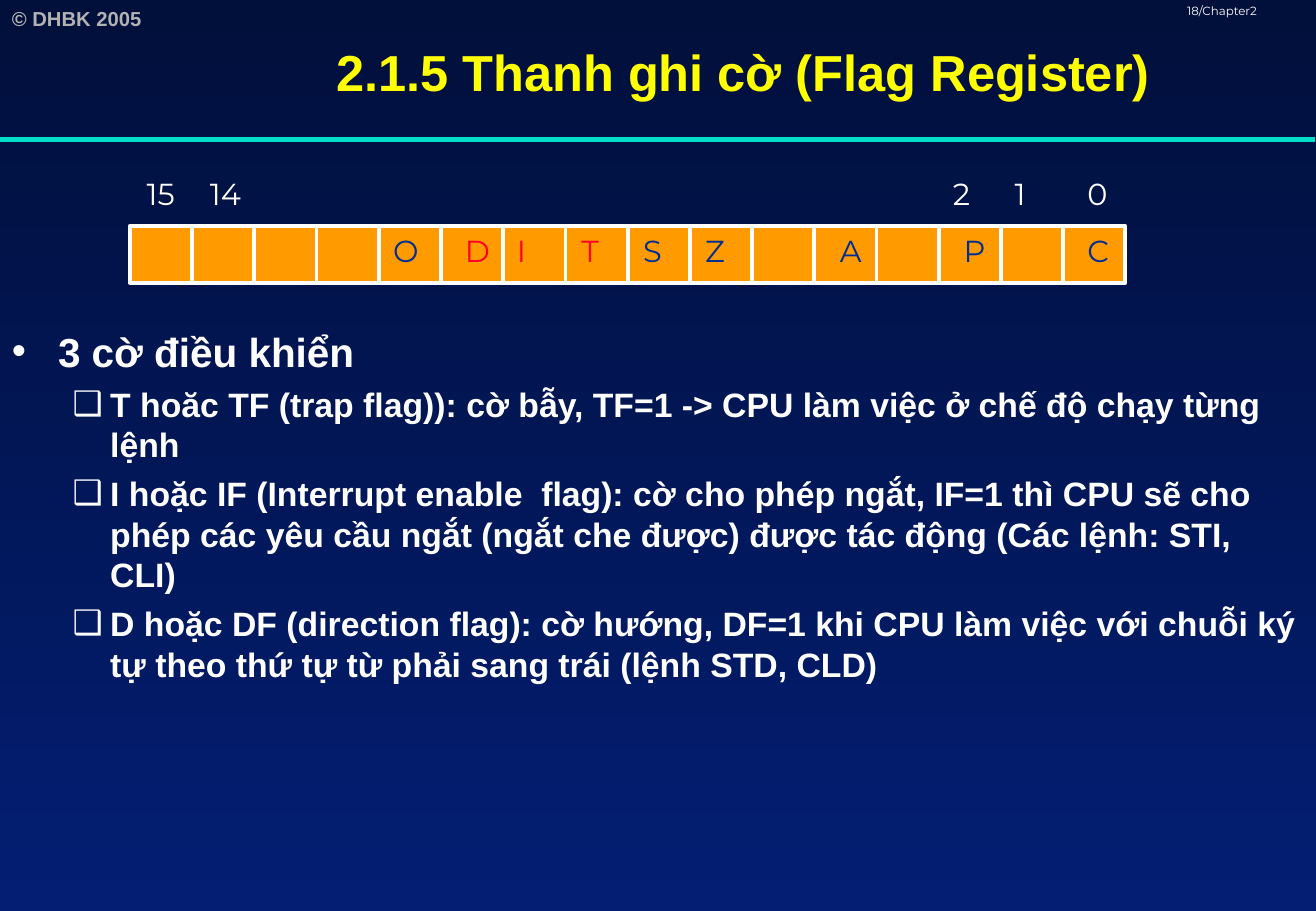
import pptx
import pptx.util
import pptx.dml.color
import pptx.enum.shapes
import pptx.enum.text
import pptx.oxml
import pptx.oxml.ns
from lxml import etree

Inches, Pt = pptx.util.Inches, pptx.util.Pt
ALIGN = pptx.enum.text.PP_ALIGN
ANCHOR = pptx.enum.text.MSO_ANCHOR

COLORS = {
    "top": "010F3B", "bottom": "031E73", "rule": "00DFCA", "white": "FFFFFF",
    "title": "FFFF00", "grey": "B2B2B2", "cell": "FF9B00",
    "status": "012E91", "control": "FF0028",
}
COPYRIGHT = "© DHBK 2005"
PAGE = "18/Chapter2"
TITLE = "2.1.5 Thanh ghi cờ (Flag Register)"
HEADING = "3 cờ điều khiển"
CONTROL_FLAGS = [
    "T hoăc TF (trap flag)): cờ bẫy, TF=1 -> CPU làm việc ở chế độ chạy từng lệnh",
    "I hoặc IF (Interrupt enable  flag): cờ cho phép ngắt, IF=1 thì CPU sẽ cho phép "
    "các yêu cầu ngắt (ngắt che được) được tác động (Các lệnh: STI, CLI)",
    "D hoặc DF (direction flag): cờ hướng, DF=1 khi CPU làm việc với chuỗi ký tự "
    "theo thứ tự từ phải sang trái (lệnh STD, CLD)",
]
# (text, left, width)
BIT_NUMBERS = [("15", 1.11, 0.48), ("14", 1.63, 0.48), ("2", 7.75, 0.34),
               ("1", 8.26, 0.34), ("0", 8.86, 0.34)]
STATUS_LETTERS = [("O", 3.14, 0.39), ("S", 5.2, 0.34), ("Z", 5.71, 0.34),
                  ("A", 6.82, 0.36), ("P", 7.84, 0.35), ("C", 8.86, 0.36)]
CONTROL_LETTERS = [("D", 3.73, 0.38), ("I", 4.16, 0.28), ("T", 4.69, 0.34)]
# (labels, top, colour)
LABEL_ROWS = [(BIT_NUMBERS, 1.39, "white"), (STATUS_LETTERS, 1.86, "status"),
              (CONTROL_LETTERS, 1.86, "control")]

# Register: four groups of four bits
REG_LEFT, REG_TOP, REG_HEIGHT = 1.07, 1.86, 0.47
GROUPS, BITS, GROUP_WIDTH = 4, 4, 2.05

# bullet, left margin, hanging indent, space before, size
HEADING_STYLE = ("•", 0.38, 0.38, 0, 24)
FLAG_STYLE = ("❑", 0.81, 0.31, 5, 20)


def color(name):
    return pptx.dml.color.RGBColor.from_string(COLORS[name])


def set_font(font, **values):
    for name, value in values.items():
        if name == "color":
            font.color.rgb = color(value)
        else:
            setattr(font, name, value)


def add_box(s, left, top, width, height, wrap=True, anchor=ANCHOR.TOP):
    tf = s.shapes.add_textbox(*map(Inches, (left, top, width, height))).text_frame
    tf.word_wrap, tf.vertical_anchor = wrap, anchor
    return tf


def add_text(tf, text, align=ALIGN.LEFT, spacing=None, **font):
    p = tf.paragraphs[0]
    p.alignment, p.line_spacing = align, spacing
    r = p.add_run()
    r.text = text
    set_font(r.font, **font)


def add_line(s, x1, y1, x2, y2, name, weight):
    line = s.shapes.add_connector(pptx.enum.shapes.MSO_CONNECTOR.STRAIGHT,
                                  *map(Inches, (x1, y1, x2, y2)))
    line.line.color.rgb = color(name)
    line.line.width = Pt(weight)
    etree.SubElement(line._element.spPr, pptx.oxml.ns.qn("a:effectLst"))


def add_bullet(p, text, style):
    char, margin, hang, before, size = style
    pPr = p._p.get_or_add_pPr()
    pPr.set("marL", str(Inches(margin)))
    pPr.set("indent", str(-Inches(hang)))
    ns = pptx.oxml.ns.nsdecls("a")
    for xml in (f'<a:buClr {ns}><a:srgbClr val="{COLORS["white"]}"/></a:buClr>',
                f'<a:buFont {ns} typeface="Arial"/>',
                f'<a:buChar {ns} char="{char}"/>'):
        pPr.append(pptx.oxml.parse_xml(xml))
    p.space_before = Pt(before)
    r = p.add_run()
    r.text = text
    set_font(r.font, name="Arial", size=Pt(size), bold=True, color="white")


def add_register(s):
    bottom = REG_TOP + REG_HEIGHT
    for group in range(GROUPS):
        left = REG_LEFT + group * GROUP_WIDTH
        sp = s.shapes.add_shape(pptx.enum.shapes.MSO_SHAPE.RECTANGLE,
                                *map(Inches, (left, REG_TOP, GROUP_WIDTH, REG_HEIGHT)))
        sp.shadow.inherit = False
        sp.fill.solid()
        sp.fill.fore_color.rgb = color("cell")
        sp.line.color.rgb = color("white")
        sp.line.width = Pt(2.25)
        for bit in range(1, BITS):
            x = left + bit * GROUP_WIDTH / BITS
            add_line(s, x, REG_TOP, x, bottom, "white", 2.25)
    for labels, top, name in LABEL_ROWS:
        for text, left, width in labels:
            add_text(add_box(s, left, top, width, 0.4, wrap=False), text,
                     name="Montserrat", size=Pt(18), color=name)


def main():
    prs = pptx.Presentation()
    prs.slide_width, prs.slide_height = Inches(10.84), Inches(7.5)
    s = prs.slides.add_slide(prs.slide_layouts[6])

    fill = s.background.fill
    fill.gradient()
    fill.gradient_angle = 270
    for stop, name, position in zip(fill.gradient_stops, ("top", "bottom"), (0, 1)):
        stop.color.rgb = color(name)
        stop.position = position

    add_text(add_box(s, 0, 0, 1.57, 0.3), COPYRIGHT,
             name="Arial", size=Pt(12), bold=True, color="grey")
    add_line(s, 0, 1.15, 10.83, 1.15, "rule", 3)
    add_text(add_box(s, 9.68, 0, 1.58, 0.25), PAGE, spacing=0.8,
             name="Montserrat", size=Pt(7), color="white")
    add_text(add_box(s, 1.41, 0, 9.43, 1.17, anchor=ANCHOR.MIDDLE), TITLE,
             align=ALIGN.CENTER, name="Arial", size=Pt(30), bold=True, color="title")

    tf = add_box(s, 0, 2.64, 10.83, 4.86)
    add_bullet(tf.paragraphs[0], HEADING, HEADING_STYLE)
    for text in CONTROL_FLAGS:
        add_bullet(tf.add_paragraph(), text, FLAG_STYLE)

    add_register(s)
    prs.save("out.pptx")


if __name__ == "__main__":
    main()
